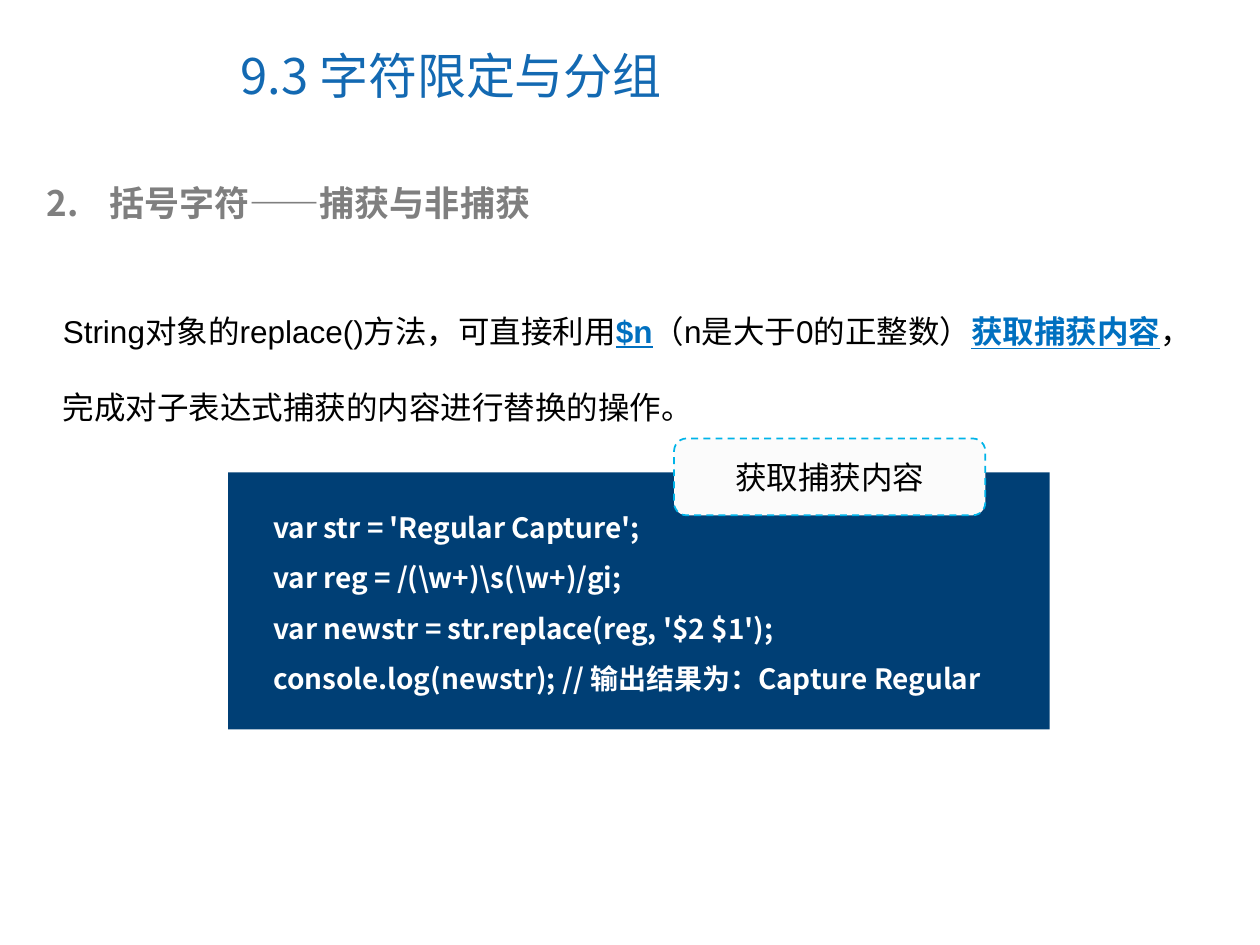
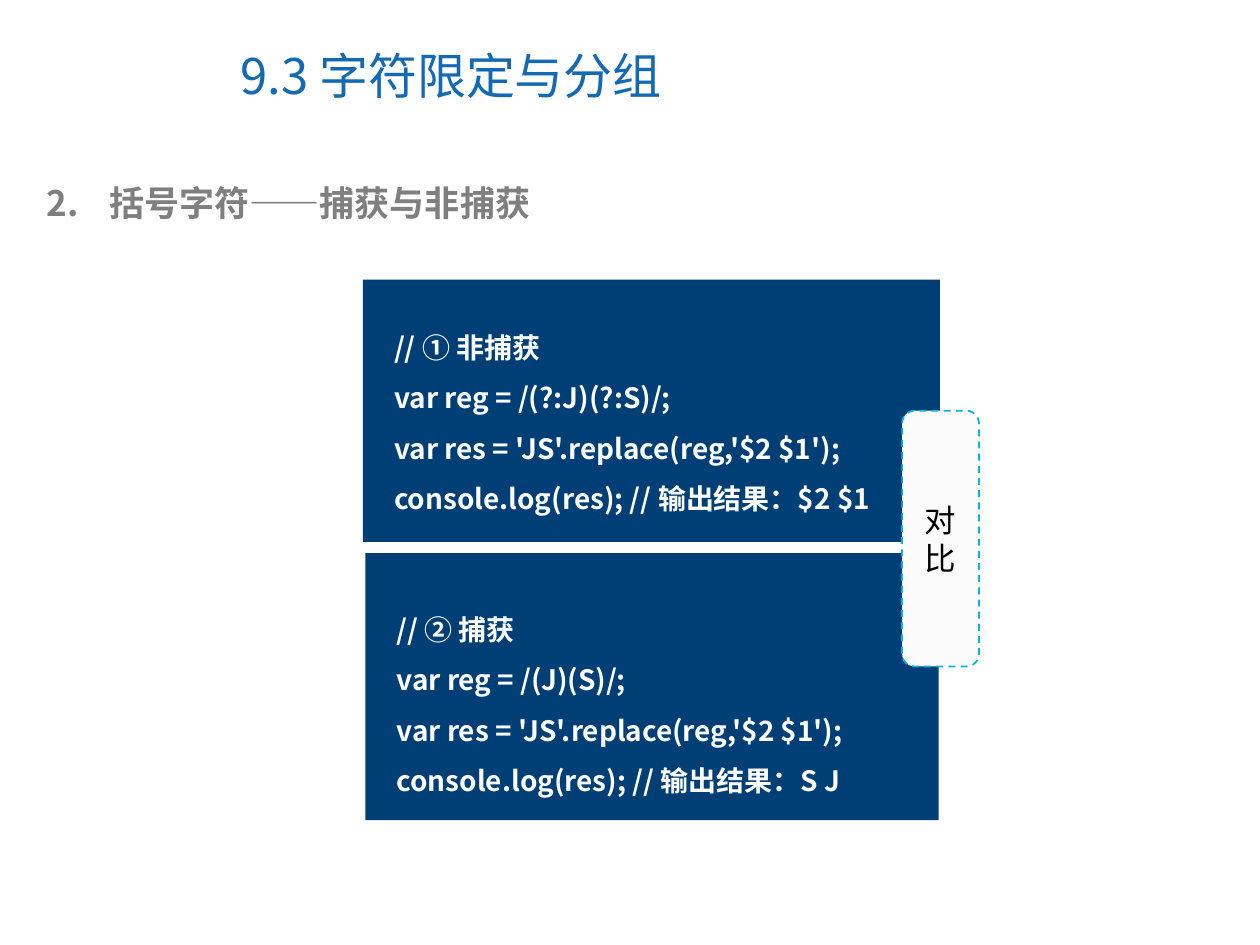
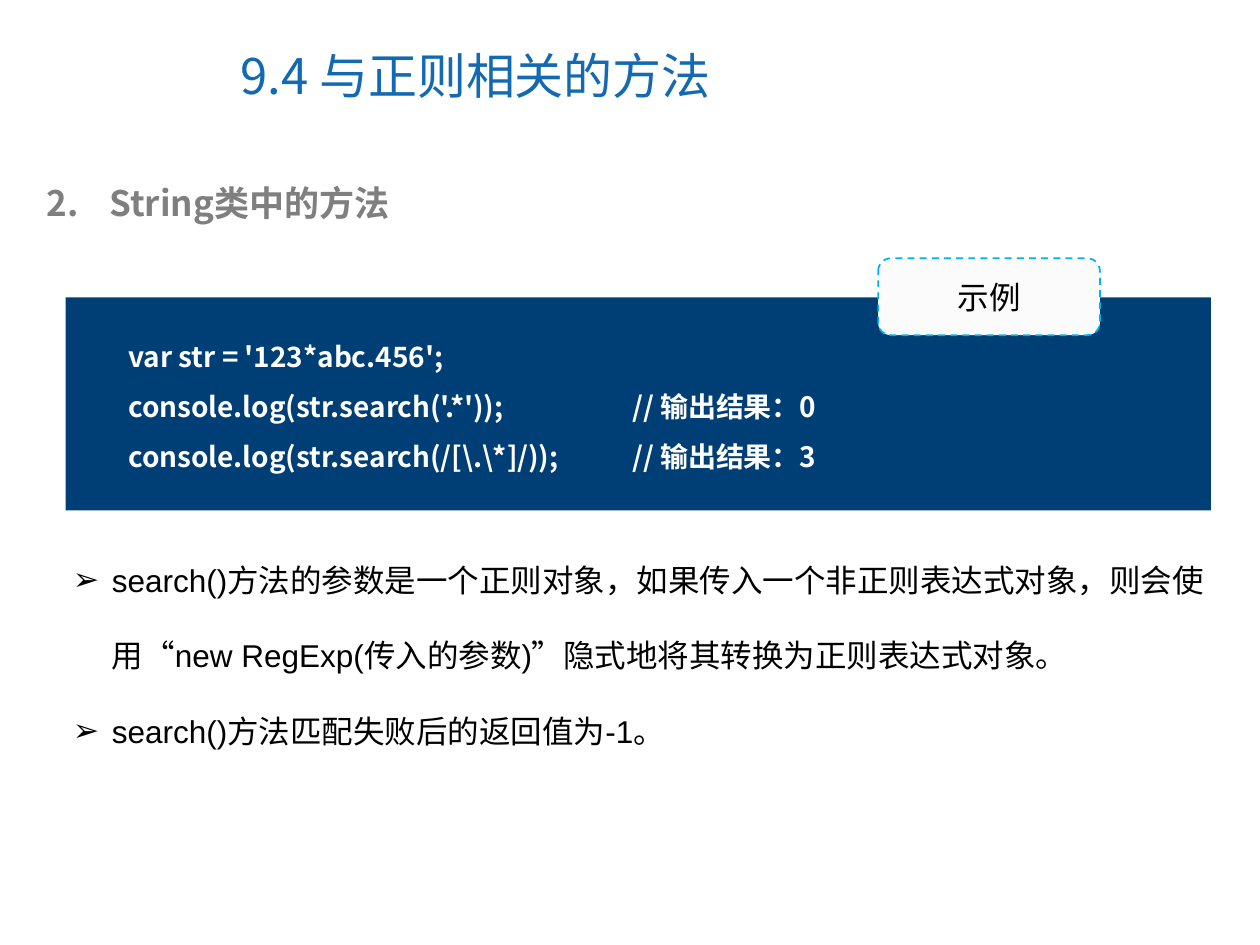
"""Build three slides on regular expression capture groups and string methods."""
from dataclasses import dataclass
from typing import Optional, Sequence, Union

import lxml.etree
import pptx
import pptx.dml.color
import pptx.enum.dml
import pptx.enum.shapes
import pptx.enum.text
import pptx.oxml.ns
import pptx.util

Inches, Pt = pptx.util.Inches, pptx.util.Pt
RGBColor = pptx.dml.color.RGBColor
PP_ALIGN, MSO_ANCHOR = pptx.enum.text.PP_ALIGN, pptx.enum.text.MSO_ANCHOR
MSO_SHAPE = pptx.enum.shapes.MSO_SHAPE
qn = pptx.oxml.ns.qn

TITLE_BLUE = RGBColor(0x13, 0x69, 0xB2)
HEADING_GRAY = RGBColor(0x7F, 0x7F, 0x7F)
CODE_NAVY = RGBColor(0x00, 0x3F, 0x75)
EMPHASIS_BLUE = RGBColor(0x00, 0x70, 0xC0)
LABEL_FILL = RGBColor(0xFB, 0xFB, 0xFB)
LABEL_LINE = RGBColor(0x00, 0xB4, 0xE9)
BLACK = RGBColor(0x00, 0x00, 0x00)
WHITE = RGBColor(0xFF, 0xFF, 0xFF)

CJK_FONT = "Noto Sans CJK SC"
BODY_FONT = "Arial"
LABEL_CORNER = 0.1

Paragraph = Union[str, Sequence[str]]


@dataclass(frozen=True)
class Box:
    """Position and size in inches."""
    left: float
    top: float
    width: float
    height: float

    def lengths(self) -> tuple:
        """Return the four values as slide lengths."""
        return tuple(Inches(v) for v in (self.left, self.top, self.width, self.height))


@dataclass(frozen=True)
class CodePanel:
    """A navy rectangle with lines of code on it."""
    panel: Box
    text: Box
    lines: Sequence[str]
    tab: Optional[float] = None


@dataclass(frozen=True)
class Label:
    """A dashed rounded tag."""
    box: Box
    text: str


@dataclass(frozen=True)
class Body:
    """Running text, with or without arrow bullets."""
    box: Box
    paragraphs: Sequence[Paragraph]
    bullet: Optional[str] = None
    indent: float = 0


@dataclass(frozen=True)
class Page:
    """The content of one slide."""
    title: str
    heading: str
    panels: Sequence[CodePanel]
    label: Label
    body: Optional[Body] = None


def add_bullet(p, color: RGBColor, indent: float, bullet: str) -> None:
    """Give a paragraph a hanging bullet, numbered if the bullet is a digit."""
    pPr = p._p.get_or_add_pPr()
    pPr.set("marL", str(Inches(indent)))
    pPr.set("indent", str(-Inches(indent)))
    bu_color = lxml.etree.SubElement(pPr, qn("a:buClr"))
    lxml.etree.SubElement(bu_color, qn("a:srgbClr"), val=str(color))
    if bullet.isdigit():
        lxml.etree.SubElement(pPr, qn("a:buAutoNum"), type="arabicPeriod", startAt=bullet)
    else:
        lxml.etree.SubElement(pPr, qn("a:buFont"), typeface=BODY_FONT)
        lxml.etree.SubElement(pPr, qn("a:buChar"), char=bullet)


def write(tf, paragraphs: Sequence[Paragraph], *, size: float, color: RGBColor,
          font: str = CJK_FONT, bold: bool = False, spacing: float = 1.0,
          align=PP_ALIGN.LEFT, anchor=MSO_ANCHOR.TOP, bullet: Optional[str] = None,
          indent: float = 0, tab: Optional[float] = None) -> None:
    """Fill a text frame; in a split paragraph every second piece is emphasised."""
    tf.word_wrap = True
    tf.vertical_anchor = anchor
    for i, pieces in enumerate(paragraphs):
        p = tf.add_paragraph() if i else tf.paragraphs[0]
        p.alignment = align
        p.line_spacing = spacing
        if bullet:
            add_bullet(p, color, indent, bullet)
        if tab:
            tabs = lxml.etree.SubElement(p._p.get_or_add_pPr(), qn("a:tabLst"))
            lxml.etree.SubElement(tabs, qn("a:tab"), pos=str(Inches(tab)), algn="l")
        for j, piece in enumerate([pieces] if isinstance(pieces, str) else pieces):
            emphasised = j % 2 == 1
            r = p.add_run()
            r.text = piece
            r.font.size = Pt(size)
            r.font.name = font
            r.font.bold = bold or emphasised
            r.font.underline = emphasised
            r.font.color.rgb = EMPHASIS_BLUE if emphasised else color
            lxml.etree.SubElement(r._r.get_or_add_rPr(), qn("a:ea"), typeface=CJK_FONT)


def add_text(s, box: Box, paragraphs: Sequence[Paragraph], **fmt) -> None:
    """Add a text box with the given format."""
    write(s.shapes.add_textbox(*box.lengths()).text_frame, paragraphs, **fmt)


def add_shape(s, kind, box: Box, fill: RGBColor):
    """Add a filled shape without line or shadow."""
    sp = s.shapes.add_shape(kind, *box.lengths())
    sp.shadow.inherit = False
    sp.fill.solid()
    sp.fill.fore_color.rgb = fill
    sp.line.fill.background()
    return sp


def add_code(s, code: CodePanel) -> None:
    """Draw a code panel."""
    add_shape(s, MSO_SHAPE.RECTANGLE, code.panel, CODE_NAVY)
    add_text(s, code.text, code.lines, size=16, color=WHITE, bold=True,
             spacing=1.5, tab=code.tab)


def add_label(s, label: Label) -> None:
    """Draw a dashed label."""
    sp = add_shape(s, MSO_SHAPE.ROUNDED_RECTANGLE, label.box, LABEL_FILL)
    sp.adjustments[0] = LABEL_CORNER / min(label.box.width, label.box.height)
    sp.line.color.rgb = LABEL_LINE
    sp.line.width = Pt(1)
    sp.line.dash_style = pptx.enum.dml.MSO_LINE.DASH
    write(sp.text_frame, [label.text], size=18, color=BLACK, font=BODY_FONT,
          align=PP_ALIGN.CENTER, anchor=MSO_ANCHOR.MIDDLE)


def add_page(prs, page: Page) -> None:
    """Add one slide."""
    s = prs.slides.add_slide(prs.slide_layouts[6])
    add_text(s, Box(1.81, 0.17, 5.16, 0.85), [page.title], size=28,
             color=TITLE_BLUE, anchor=MSO_ANCHOR.MIDDLE)
    add_text(s, Box(0.27, 1.39, 9.22, 0.44), [page.heading], size=20,
             color=HEADING_GRAY, bold=True, bullet="2", indent=0.5)
    for code in page.panels:
        add_code(s, code)
    if page.body:
        add_text(s, page.body.box, page.body.paragraphs, size=18, color=BLACK,
                 font=BODY_FONT, spacing=2.0, bullet=page.body.bullet,
                 indent=page.body.indent)
    add_label(s, page.label)


GROUPING_TITLE = "9.3 字符限定与分组"
CAPTURE_HEADING = "括号字符——捕获与非捕获"
REPLACE_LINE = "var res = 'JS'.replace(reg,'$2 $1');"

PAGES = [
    Page(
        GROUPING_TITLE, CAPTURE_HEADING,
        [CodePanel(Box(1.81, 3.75, 6.52, 2.04), Box(2.07, 3.87, 6.26, 1.7), [
            "var str = 'Regular Capture';",
            r"var reg = /(\w+)\s(\w+)/gi;",
            "var newstr = str.replace(reg, '$2 $1');",
            "console.log(newstr); // 输出结果为：Capture Regular",
        ])],
        Label(Box(5.35, 3.48, 2.47, 0.61), "获取捕获内容"),
        Body(Box(0.4, 2.13, 9.19, 1.3), [(
            "String对象的replace()方法，可直接利用", "$n",
            "（n是大于0的正整数）", "获取捕获内容",
            "，完成对子表达式捕获的内容进行替换的操作。",
        )]),
    ),
    Page(
        GROUPING_TITLE, CAPTURE_HEADING,
        [
            CodePanel(Box(2.88, 2.22, 4.58, 2.08), Box(3.03, 2.44, 4.32, 1.7), [
                "// ① 非捕获",
                "var reg = /(?:J)(?:S)/;",
                REPLACE_LINE,
                "console.log(res); // 输出结果：$2 $1",
            ]),
            CodePanel(Box(2.9, 4.39, 4.55, 2.12), Box(3.05, 4.68, 4.27, 1.7), [
                "// ② 捕获",
                "var reg = /(J)(S)/;",
                REPLACE_LINE,
                "console.log(res); // 输出结果：S J",
            ]),
        ],
        Label(Box(7.16, 3.26, 0.61, 2.03), "对比"),
    ),
    Page(
        "9.4 与正则相关的方法", "String类中的方法",
        [CodePanel(Box(0.52, 2.36, 9.09, 1.69), Box(0.92, 2.51, 8.93, 1.3), [
            "var str = '123*abc.456';",
            "console.log(str.search('.*'));\t// 输出结果：0",
            "console.log(str.search(/[\\.\\*]/));\t// 输出结果：3",
        ], tab=4)],
        Label(Box(6.97, 2.05, 1.76, 0.61), "示例"),
        Body(Box(0.48, 4.1, 9.22, 1.9), [
            "search()方法的参数是一个正则对象，如果传入一个非正则表达式对象，则会"
            "使用“new RegExp(传入的参数)”隐式地将其转换为正则表达式对象。",
            "search()方法匹配失败后的返回值为-1。",
        ], bullet="➢", indent=0.31),
    ),
]


def main() -> None:
    """Build and save the presentation."""
    prs = pptx.Presentation()
    prs.slide_width, prs.slide_height = Inches(10), Inches(7.5)
    for page in PAGES:
        add_page(prs, page)
    prs.save("out.pptx")


if __name__ == "__main__":
    main()
